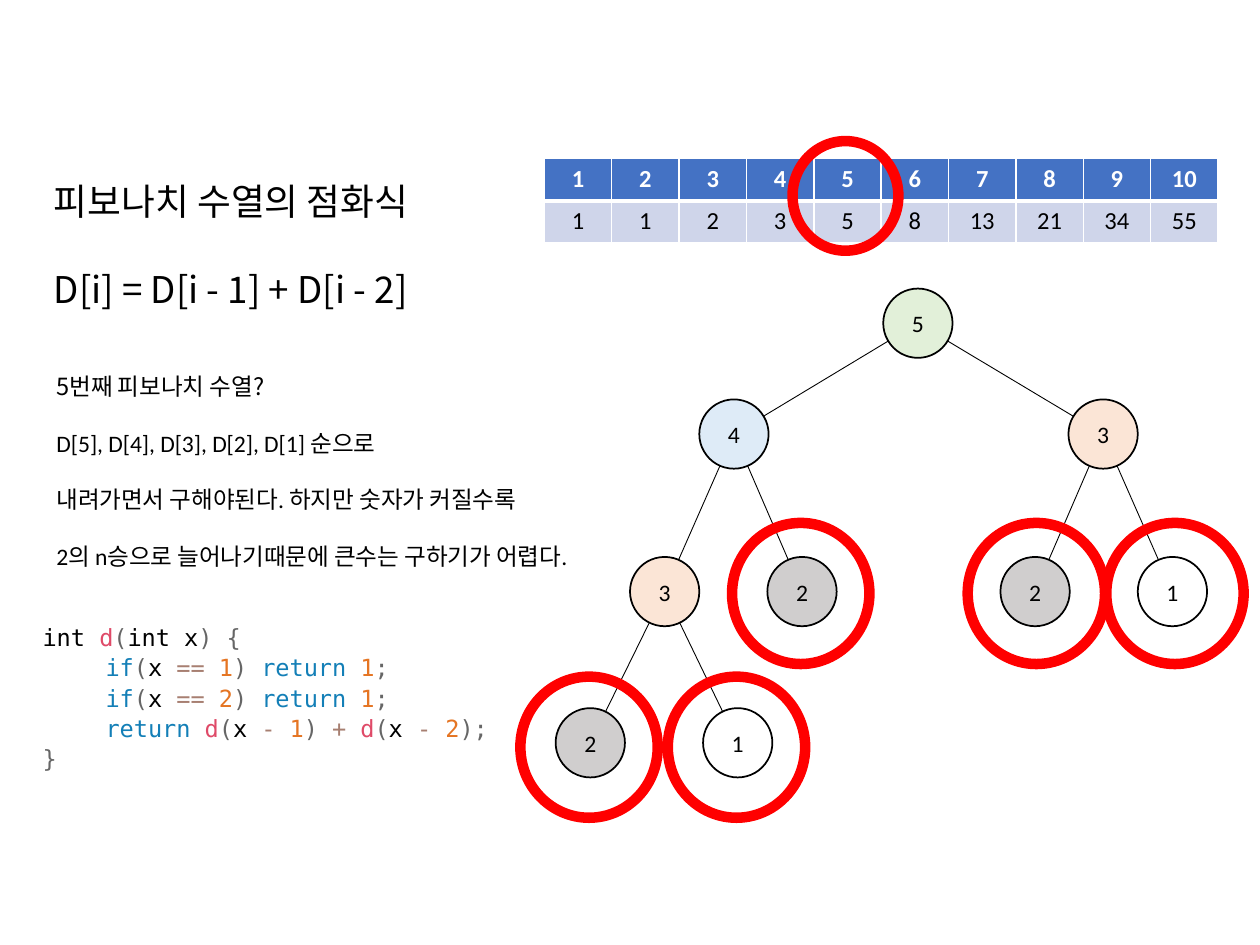
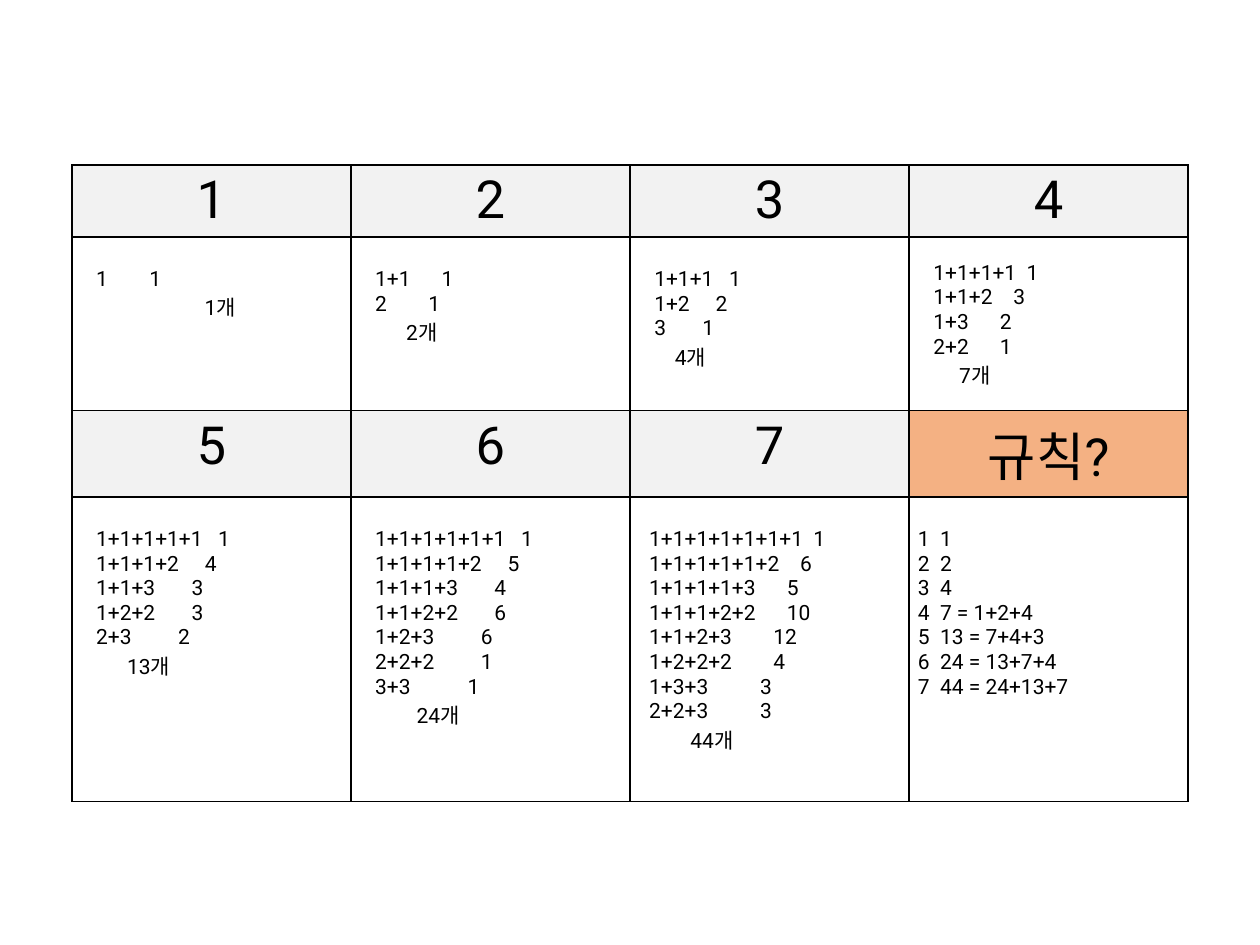
from lxml import etree
from pptx import Presentation
from pptx.dml.color import RGBColor
from pptx.enum.shapes import MSO_CONNECTOR, MSO_SHAPE
from pptx.enum.text import MSO_ANCHOR, PP_ALIGN
from pptx.oxml.ns import qn
from pptx.util import Inches, Pt

OVAL = MSO_SHAPE.OVAL
STRAIGHT = MSO_CONNECTOR.STRAIGHT
MIDDLE = MSO_ANCHOR.MIDDLE
CENTER = PP_ALIGN.CENTER

BLACK = RGBColor(0x00, 0x00, 0x00)
WHITE = RGBColor(0xFF, 0xFF, 0xFF)
RED = RGBColor(0xFF, 0x00, 0x00)
GREEN = RGBColor(0xE2, 0xF0, 0xD9)
BLUE = RGBColor(0xDE, 0xEB, 0xF7)
PEACH = RGBColor(0xFB, 0xE5, 0xD6)
GREY = RGBColor(0xD0, 0xCE, 0xCE)
HEADER_BLUE = RGBColor(0x44, 0x72, 0xC4)
ROW_BLUE = RGBColor(0xCF, 0xD5, 0xEA)
HEADER_GREY = RGBColor(0xF2, 0xF2, 0xF2)
ORANGE = RGBColor(0xF4, 0xB1, 0x83)
CODE_NAME = RGBColor(0xDF, 0x4A, 0x68)
CODE_MARK = RGBColor(0x66, 0x66, 0x66)
CODE_KEYWORD = RGBColor(0x13, 0x7F, 0xB7)
CODE_OPERATOR = RGBColor(0xA7, 0x7F, 0x71)
CODE_NUMBER = RGBColor(0xE5, 0x75, 0x23)

KOREAN = "Noto Sans CJK KR"
FORMULA = {"name": KOREAN, "size": Pt(21)}
NOTE = {"name": KOREAN, "size": Pt(13.5)}
NOTE_LATIN = {"name": "Calibri", "size": Pt(13.5)}
CODE = {"name": "DejaVu Sans Mono", "size": Pt(13.5)}
SEQUENCE = {"name": "Calibri", "size": Pt(14), "bold": False}
SEQUENCE_HEAD = {**SEQUENCE, "bold": True}
CASE_HEAD = {"name": "Roboto", "size": Pt(30), "bold": False}
CASE = {"name": "Roboto", "size": Pt(12), "bold": False}


def add_text(paragraph, text, text_format, color=BLACK):
    run = paragraph.add_run()
    run.text = text
    for name, value in text_format.items():
        setattr(run.font, name, value)
    run.font.color.rgb = color
    etree.SubElement(run.font._element, qn("a:ea"), typeface=KOREAN)


def style_cell(cell, fill, border, top=1, bottom=1):
    """Set the margins, the fill and the four borders (widths in points)."""
    margins = {"margin_left": 0.07, "margin_right": 0.07, "margin_top": 0.04, "margin_bottom": 0.04}
    for name, value in margins.items():
        setattr(cell, name, Inches(value))
    properties = cell._tc.get_or_add_tcPr()
    for side, width in (("L", 1), ("R", 1), ("T", top), ("B", bottom)):
        line = etree.SubElement(properties, qn(f"a:ln{side}"), w=str(Pt(width)))
        solid = etree.SubElement(line, qn("a:solidFill"))
        etree.SubElement(solid, qn("a:srgbClr"), val=str(border))
    cell.fill.solid()
    cell.fill.fore_color.rgb = fill


presentation = Presentation()
presentation.slide_width = Inches(10)
presentation.slide_height = Inches(7.5)
blank = presentation.slide_layouts[6]

# Slide 1: Fibonacci recurrence
slide = presentation.slides.add_slide(blank)

# Texts with one empty line's height between paragraphs
text_blocks = [
    (0.33, 1.37, 5, 1.16, 25.2, [
        ("피보나치 수열의 점화식", FORMULA),
        ("D[i] = D[i - 1] + D[i - 2]", FORMULA),
    ]),
    (0.35, 2.9, 4.9, 1.69, 16.2, [
        ("5번째 피보나치 수열?", NOTE),
        ("D[5], D[4], D[3], D[2], D[1] 순으로", NOTE_LATIN),
        ("내려가면서 구해야된다. 하지만 숫자가 커질수록", NOTE_LATIN),
        ("2의 n승으로 늘어나기때문에 큰수는 구하기가 어렵다.", NOTE_LATIN),
    ]),
]
for left, top, width, height, line_height, lines in text_blocks:
    box = slide.shapes.add_textbox(Inches(left), Inches(top), Inches(width), Inches(height))
    frame = box.text_frame
    frame.word_wrap = True
    for index, (text, text_format) in enumerate(lines):
        paragraph = frame.add_paragraph() if index else frame.paragraphs[0]
        paragraph.line_spacing = Pt(line_height)
        if index:
            paragraph.space_before = Pt(line_height)
        add_text(paragraph, text, text_format)

# Code, with tokens parted by "|"
code_lines = [
    (0, "int |d|(|int x|) {"),
    (0.5, "if|(|x |== |1|) |return |1|;"),
    (0.5, "if|(|x |== |2|) |return |1|;"),
    (0.5, "return |d|(|x |- |1|) |+ |d|(|x |- |2|);"),
    (0, "}"),
]
token_colors = {"int": BLACK, "int x": BLACK, "x": BLACK, "d": CODE_NAME,
                "if": CODE_KEYWORD, "return": CODE_KEYWORD,
                "==": CODE_OPERATOR, "-": CODE_OPERATOR, "+": CODE_OPERATOR,
                "1": CODE_NUMBER, "2": CODE_NUMBER}
box = slide.shapes.add_textbox(Inches(0.24), Inches(4.88), Inches(5), Inches(1.3))
box.text_frame.word_wrap = True
for index, (indent, line) in enumerate(code_lines):
    paragraph = box.text_frame.add_paragraph() if index else box.text_frame.paragraphs[0]
    paragraph.line_spacing = 1.07
    paragraph._p.get_or_add_pPr().set("marL", str(Inches(indent)))
    for token in line.split("|"):
        add_text(paragraph, token, CODE, token_colors.get(token.strip(), CODE_MARK))

# Sequence table
fibonacci = [1, 1]
while len(fibonacci) < 10:
    fibonacci.append(fibonacci[-1] + fibonacci[-2])
table = slide.shapes.add_table(2, 10, Inches(4.32), Inches(1.26), Inches(5.35), Inches(0.67)).table
table.first_row = table.horz_banding = False
for row in table.rows:
    row.height = Inches(0.335)
for column, value in enumerate(fibonacci):
    table.columns[column].width = Inches(0.535)
    head, body = table.cell(0, column), table.cell(1, column)
    style_cell(head, HEADER_BLUE, WHITE, bottom=3)
    style_cell(body, ROW_BLUE, WHITE, top=3)
    add_text(head.text_frame.paragraphs[0], str(column + 1), SEQUENCE_HEAD, WHITE)
    add_text(body.text_frame.paragraphs[0], str(value), SEQUENCE)
    for cell in (head, body):
        cell.text_frame.paragraphs[0].alignment = CENTER

# Call tree: left, top, label, fill, index of the parent
NODE_SIZE = 0.55
nodes = [
    (7.01, 2.29, "5", GREEN, None),
    (5.55, 3.17, "4", BLUE, 0),
    (8.48, 3.17, "3", PEACH, 0),
    (5.00, 4.42, "3", PEACH, 1),
    (6.09, 4.42, "2", GREY, 1),
    (7.94, 4.42, "2", GREY, 2),
    (9.03, 4.42, "1", WHITE, 2),
    (4.41, 5.62, "2", GREY, 3),
    (5.58, 5.62, "1", WHITE, 3),
]
for left, top, label, fill, parent in nodes:
    if parent is None:
        continue
    ends = [Inches(value + NODE_SIZE / 2) for value in (*nodes[parent][:2], left, top)]
    branch = slide.shapes.add_connector(STRAIGHT, *ends)
    branch.line.color.rgb = BLACK
    branch.line.width = Pt(0.5)
    etree.SubElement(branch._element.spPr, qn("a:effectLst"))

rings = [(4.13, 5.37), (5.3, 5.37), (5.81, 4.15), (7.68, 4.15), (8.78, 4.15)]
ellipses = [(left, top, NODE_SIZE, NODE_SIZE, label, fill, BLACK, 1)
            for left, top, label, fill, _ in nodes]
ellipses += [(left, top, 1.09, 1.12, None, None, RED, 6) for left, top in rings]
ellipses.append((6.29, 1.12, 0.84, 0.87, None, None, RED, 6))
for left, top, width, height, label, fill, line_color, line_width in ellipses:
    shape = slide.shapes.add_shape(OVAL, Inches(left), Inches(top), Inches(width), Inches(height))
    shape.shadow.inherit = False
    shape.line.color.rgb = line_color
    shape.line.width = Pt(line_width)
    if label is None:
        shape.fill.background()
        continue
    shape.fill.solid()
    shape.fill.fore_color.rgb = fill
    shape.text_frame.vertical_anchor = MIDDLE
    paragraph = shape.text_frame.paragraphs[0]
    paragraph.alignment = CENTER
    add_text(paragraph, label, NOTE_LATIN)

# Slide 2: sums of 1, 2 and 3
slide = presentation.slides.add_slide(blank)
SPACE, CHARACTER = 0.041, 0.094  # widths in 12 point Roboto, in inches

# Heading, indent, count column, total's indent (all in spaces), first line's top, sums, total
cases = [
    ("1", 3, 9, 21, 0.24, [("1", "1")], "1개"),
    ("2", 3, 9, 6, 0.24, [("1+1", "1"), ("2", "1")], "2개"),
    ("3", 3, 8, 4, 0.24, [("1+1+1", "1"), ("1+2", "2"), ("3", "1")], "4개"),
    ("4", 3, 9, 5, 0.19,
     [("1+1+1+1", "1"), ("1+1+2", "3"), ("1+3", "2"), ("2+2", "1")], "7개"),
    ("5", 3, 12, 6, 0.24,
     [("1+1+1+1+1", "1"), ("1+1+1+2", "4"), ("1+1+3", "3"), ("1+2+2", "3"), ("2+3", "2")], "13개"),
    ("6", 3, 14, 8, 0.24,
     [("1+1+1+1+1+1", "1"), ("1+1+1+1+2", "5"), ("1+1+1+3", "4"), ("1+1+2+2", "6"),
      ("1+2+3", "6"), ("2+2+2", "1"), ("3+3", "1")], "24개"),
    ("7", 2, 15, 8, 0.24,
     [("1+1+1+1+1+1+1", "1"), ("1+1+1+1+1+2", "6"), ("1+1+1+1+3", "5"), ("1+1+1+2+2", "10"),
      ("1+1+2+3", "12"), ("1+2+2+2", "4"), ("1+3+3", "3"), ("2+2+3", "3")], "44개"),
    ("규칙?", 0, 3, 0, 0.24,
     [("1", "1"), ("2", "2"), ("3", "4"), ("4", "7 = 1+2+4"), ("5", "13 = 7+4+3"),
      ("6", "24 = 13+7+4"), ("7", "44 = 24+13+7")], None),
]
table = slide.shapes.add_table(4, 4, Inches(0.57), Inches(1.31), Inches(8.86), Inches(5.05)).table
table.first_row = table.horz_banding = False
for row, height in zip(table.rows, (0.57, 1.38, 0.68, 2.42)):
    row.height = Inches(height)
for column in table.columns:
    column.width = Inches(2.215)

for index, (heading, indent, count_column, total_indent, top, sums, total) in enumerate(cases):
    block, column = divmod(index, 4)
    head, body = table.cell(2 * block, column), table.cell(2 * block + 1, column)
    style_cell(head, ORANGE if total is None else HEADER_GREY, BLACK)
    style_cell(body, WHITE, BLACK)
    paragraph = head.text_frame.paragraphs[0]
    paragraph.alignment = CENTER
    add_text(paragraph, heading, CASE_HEAD)

    body.margin_left = Inches(0.07 + indent * SPACE)
    body.margin_top = Inches(top)
    frame = body.text_frame
    for line, (terms, count) in enumerate(sums):
        paragraph = frame.add_paragraph() if line else frame.paragraphs[0]
        stop = len(terms) * CHARACTER + (count_column - len(terms)) * SPACE
        tabs = etree.SubElement(paragraph._p.get_or_add_pPr(), qn("a:tabLst"))
        etree.SubElement(tabs, qn("a:tab"), pos=str(Inches(stop)), algn="l")
        add_text(paragraph, f"{terms}\t{count}", CASE)
    if total:
        paragraph = frame.add_paragraph()
        paragraph._p.get_or_add_pPr().set("marL", str(Inches(total_indent * SPACE)))
        add_text(paragraph, total, CASE)

presentation.save("out.pptx")
